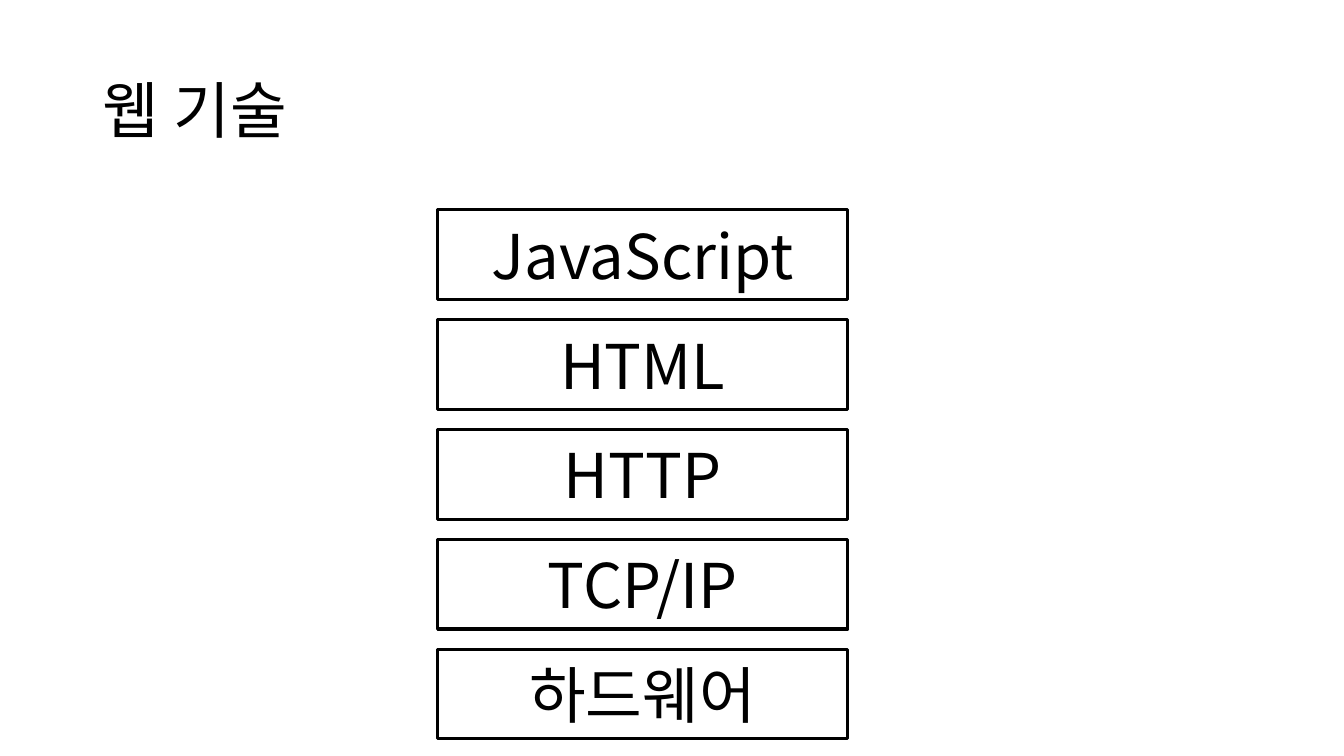
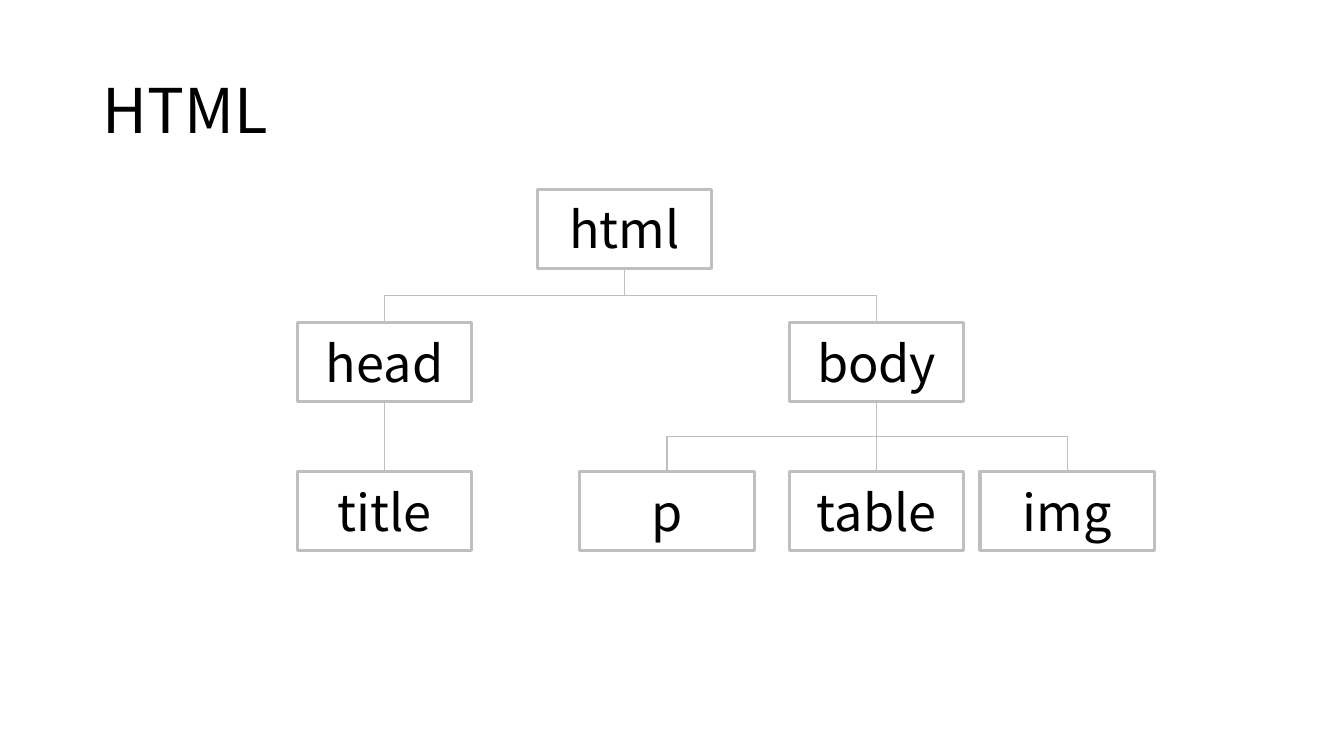
import pptx
import pptx.util
import pptx.dml.color
import pptx.enum.shapes
import pptx.enum.text
import pptx.oxml.ns
import lxml.etree

SCALE = 9144
FONT = "Noto Sans CJK KR"
INK, GREY, WHITE = "000000", "BFBFBF", "FFFFFF"
ALIGN = pptx.enum.text.PP_ALIGN
MIDDLE = pptx.enum.text.MSO_ANCHOR.MIDDLE
LINK = pptx.enum.shapes.MSO_CONNECTOR
BOTTOM, TOP = 2, 0


def px(count):
    return pptx.util.Emu(count * SCALE)


def color(text):
    return pptx.dml.color.RGBColor.from_string(text)


def adjust(target, values):
    for name, value in values.items():
        setattr(target, name, value)


def child(parent, tag):
    return lxml.etree.SubElement(parent, pptx.oxml.ns.qn(tag))


class Deck:
    def __init__(self, width, height):
        self.file = pptx.Presentation()
        adjust(self.file, {"slide_width": px(width), "slide_height": px(height)})
        self.slide = None

    def place(self, shape, left, top, width, height):
        adjust(shape, {"left": px(left), "top": px(top),
                       "width": px(width), "height": px(height)})

    def label(self, shape, text, size, align, space=1.0):
        frame = shape.text_frame
        adjust(frame, {"word_wrap": True, "vertical_anchor": MIDDLE})
        para = frame.paragraphs[0]
        adjust(para, {"alignment": align, "line_spacing": space})
        run = para.add_run()
        run.text = text
        adjust(run.font, {"name": FONT, "size": pptx.util.Pt(size)})
        run.font.color.rgb = color(INK)
        child(run.font._element, "a:ea").set("typeface", FONT)

    def stroke(self, shape, tint, width):
        shape.line.color.rgb = color(tint)
        shape.line.width = pptx.util.Pt(width)

    def page(self, title):
        self.slide = self.file.slides.add_slide(self.file.slide_layouts[5])
        head = self.slide.shapes.title
        self.place(head, 92, 40, 1150, 145)
        self.label(head, title, 44, ALIGN.LEFT, 0.9)

    def box(self, text, left, top, width, height, size, tint):
        shape = self.slide.shapes.add_shape(
            pptx.enum.shapes.MSO_SHAPE.RECTANGLE,
            px(left), px(top), px(width), px(height))
        shape.shadow.inherit = False
        shape.fill.solid()
        shape.fill.fore_color.rgb = color(WHITE)
        self.stroke(shape, tint, 2.25)
        self.label(shape, text, size, ALIGN.CENTER)
        return shape

    def link(self, upper, lower, tint):
        straight = upper.left == lower.left
        kind = LINK.STRAIGHT if straight else LINK.ELBOW
        line = self.slide.shapes.add_connector(kind, 0, 0, 0, 0)
        line.begin_connect(upper, BOTTOM)
        line.end_connect(lower, TOP)
        self.stroke(line, tint, 1)
        child(line._element.spPr, "a:effectLst")
        if not straight:
            self.turn(line)

    def turn(self, line):
        right = line.end_x > line.begin_x
        wide, tall = line.width, line.height
        adjust(line, {"left": line.left + (wide - tall) // 2,
                      "top": line.top + (tall - wide) // 2,
                      "width": tall, "height": wide})
        form = line._element.spPr.find(pptx.oxml.ns.qn("a:xfrm"))
        form.set("rot", str((270 if right else 90) * 60000))
        form.set("flipH", "1" if right else "0")

    def stack(self, names):
        for row, name in enumerate(names):
            self.box(name, 434, 208 + row * 109, 407, 89, 44, INK)

    def tree(self, nodes):
        rows = (188, 320, 468)
        made = {}
        for name, left, row, _ in nodes:
            made[name] = self.box(name, left, rows[row], 173, 78, 36, GREY)
        for name, _, _, root in nodes:
            if root:
                self.link(made[root], made[name], GREY)


def main():
    deck = Deck(1333, 750)
    deck.page("웹 기술")
    deck.stack(["JavaScript", "HTML", "HTTP", "TCP/IP", "하드웨어"])
    deck.page("HTML")
    deck.tree([
        ("html", 533, 0, None),
        ("head", 295, 1, "html"),
        ("body", 783, 1, "html"),
        ("title", 295, 2, "head"),
        ("p", 575, 2, "body"),
        ("table", 783, 2, "body"),
        ("img", 972, 2, "body"),
    ])
    deck.file.save("out.pptx")


if __name__ == "__main__":
    main()
